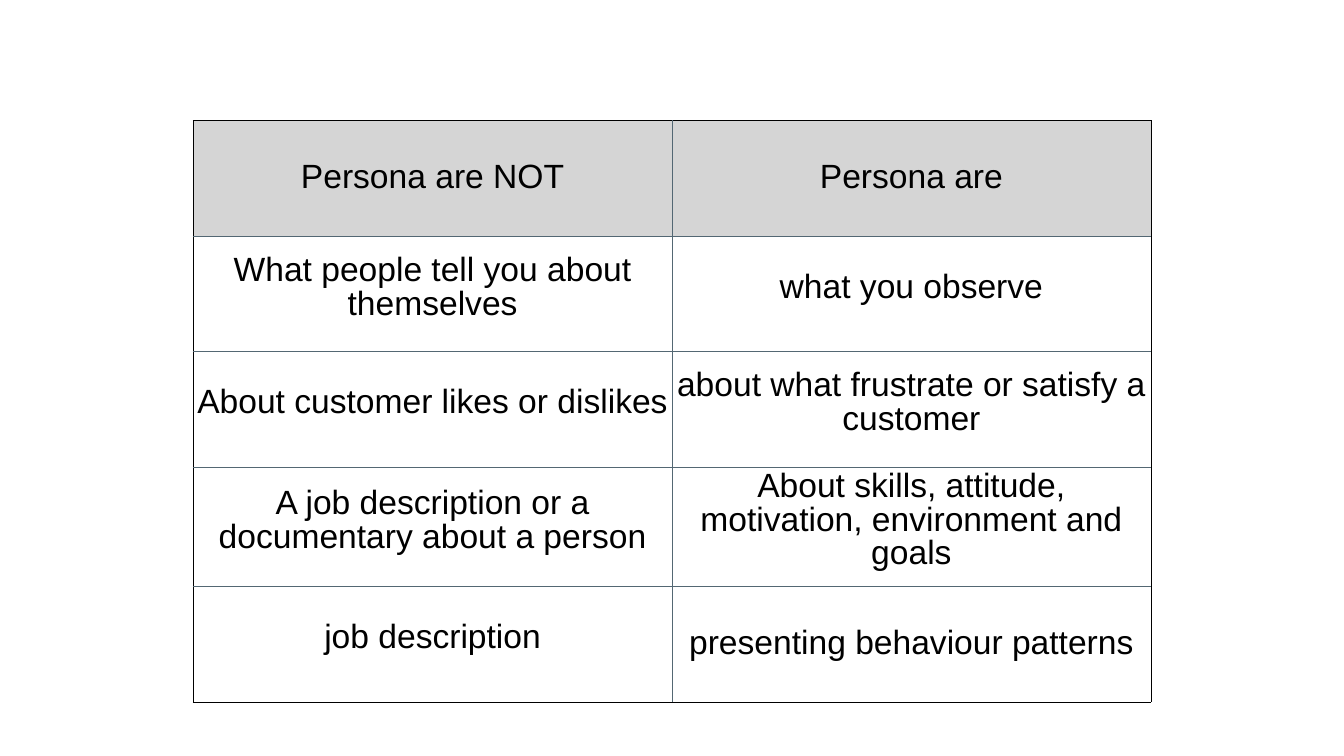
from lxml.etree import SubElement
from pptx import Presentation
from pptx.dml.color import RGBColor
from pptx.enum.text import MSO_ANCHOR, PP_ALIGN
from pptx.oxml.ns import qn
from pptx.util import Pt

PX = 9525
BLACK = RGBColor(0x00, 0x00, 0x00)
SLATE = RGBColor(0x53, 0x67, 0x73)
HEADER_GREY = RGBColor(0xD5, 0xD5, 0xD5)

COMPARISON = [
    ("Persona are NOT", "Persona are"),
    ("What people tell you about themselves", "what you observe"),
    ("About customer likes or dislikes", "about what frustrate or satisfy a customer"),
    ("A job description or a documentary about a person",
     "About skills, attitude, motivation, environment and goals"),
    ("job description", "presenting behaviour patterns"),
]
CENTRED_ROW_TEXTS = ("Persona are NOT", "Persona are", "presenting behaviour patterns")
LEFT, TOP, COL_WIDTH, ROW_HEIGHT = 368, 230, 912, 220
INSET, RAISED_INSET = 6, 28


def write(cell, text, size=48, font="Arial", color=BLACK, bottom=INSET):
    cell.vertical_anchor = MSO_ANCHOR.MIDDLE
    cell.margin_left = cell.margin_right = cell.margin_top = INSET * PX
    cell.margin_bottom = bottom * PX
    paragraph = cell.text_frame.paragraphs[0]
    paragraph.alignment = PP_ALIGN.CENTER
    paragraph.line_spacing = 0.9
    run = paragraph.add_run()
    run.text = text
    run.font.size = Pt(size)
    run.font.name = font
    run.font.color.rgb = color


def set_borders(cell, **colors):
    """Draw 1 pt cell borders; call before the cell's fill is set."""
    properties = cell._tc.get_or_add_tcPr()
    for side in "LRTB":
        line = SubElement(properties, qn(f"a:ln{side}"), w=str(Pt(1)))
        fill = SubElement(line, qn("a:solidFill"))
        SubElement(fill, qn("a:srgbClr"), val=str(colors[side]))


prs = Presentation()
prs.slide_width = 2560 * PX
prs.slide_height = 1440 * PX
slide = prs.slides.add_slide(prs.slide_layouts[6])

row_count, col_count = len(COMPARISON), len(COMPARISON[0])
table = slide.shapes.add_table(
    row_count, col_count, LEFT * PX, TOP * PX,
    col_count * COL_WIDTH * PX, row_count * ROW_HEIGHT * PX).table
table.first_row = False
table.horz_banding = False
for column in table.columns:
    column.width = COL_WIDTH * PX

for r, texts in enumerate(COMPARISON):
    table.rows[r].height = ROW_HEIGHT * PX
    for c, text in enumerate(texts):
        cell = table.cell(r, c)
        write(cell, text, bottom=INSET if text in CENTRED_ROW_TEXTS else RAISED_INSET)
        set_borders(
            cell,
            L=BLACK if c == 0 else SLATE,
            R=BLACK if c == col_count - 1 else SLATE,
            T=BLACK if r == 0 else SLATE,
            B=BLACK if r == row_count - 1 else SLATE)
        if r == 0:
            cell.fill.solid()
            cell.fill.fore_color.rgb = HEADER_GREY
        else:
            cell.fill.background()

prs.save("out.pptx")
